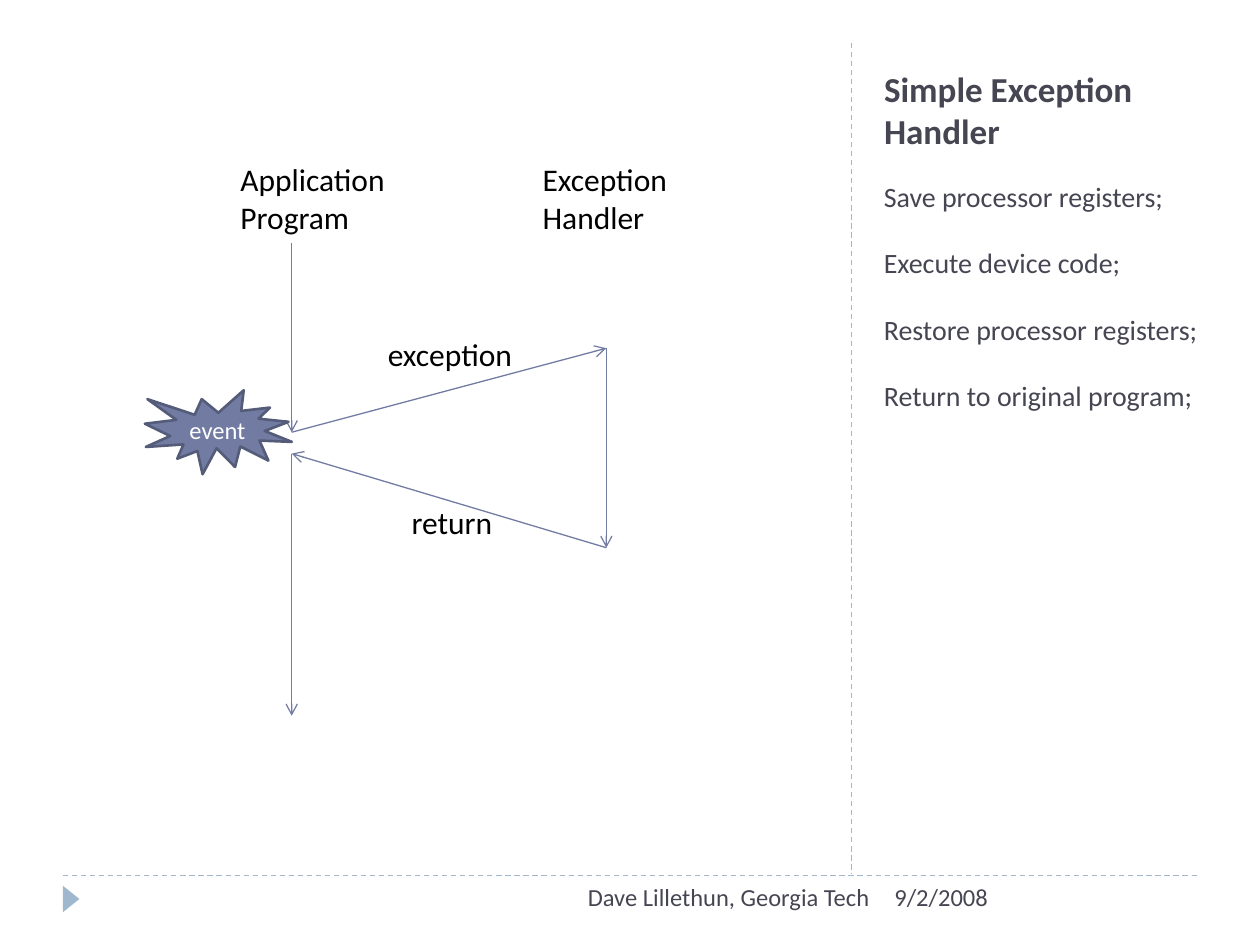
"""Build a slide that shows how a simple exception handler runs."""
from lxml.etree import SubElement
from pptx import Presentation
from pptx.dml.color import RGBColor
from pptx.enum.dml import MSO_LINE
from pptx.enum.shapes import MSO_CONNECTOR, MSO_SHAPE
from pptx.enum.text import MSO_ANCHOR, MSO_AUTO_SIZE, PP_ALIGN
from pptx.oxml.ns import qn
from pptx.util import Pt

SLATE = RGBColor(0x46, 0x46, 0x53)
PALE = RGBColor(0x9F, 0xB8, 0xCD)
BLUE = RGBColor(0x72, 0x7C, 0xA3)
NAVY = RGBColor(0x54, 0x5C, 0x79)
BLACK = RGBColor(0, 0, 0)
WHITE = RGBColor(255, 255, 255)


class Pen:
    def __init__(self, slide, font):
        self.slide = slide
        self.font = font

    def fill(self, frame, lines, size, color, align=PP_ALIGN.LEFT, bold=False):
        frame.text = "\n".join(lines)
        for para in frame.paragraphs:
            para.alignment = align
            para.font.name = self.font
            para.font.size = Pt(size)
            para.font.bold = bold
            para.font.color.rgb = color

    def title(self, text, box):
        shape = self.slide.shapes.title
        shape.left, shape.top, shape.width, shape.height = map(Pt, box)
        frame = shape.text_frame
        frame.auto_size = MSO_AUTO_SIZE.NONE
        frame.vertical_anchor = MSO_ANCHOR.BOTTOM
        self.fill(frame, [text], 20, SLATE, bold=True)

    def text(self, lines, box, size, color=SLATE, align=PP_ALIGN.LEFT):
        frame = self.slide.shapes.add_textbox(*map(Pt, box)).text_frame
        frame.word_wrap = True
        self.fill(frame, lines, size, color, align)
        return frame

    def steps(self, lines, box):
        for para in self.text(lines, box, 16).paragraphs:
            para.line_spacing = Pt(22)
            para.space_before = Pt(6)
            para.space_after = Pt(10)

    def label(self, lines, box):
        frame = self.text(lines, box, 18, BLACK)
        frame.word_wrap = False
        frame.auto_size = MSO_AUTO_SIZE.SHAPE_TO_FIT_TEXT

    def line(self, start, end, color):
        link = self.slide.shapes.add_connector(
            MSO_CONNECTOR.STRAIGHT, *map(Pt, (*start, *end)))
        link.line.color.rgb = color
        link.line.width = Pt(0.75)
        SubElement(link._element.spPr, qn("a:effectLst"))
        return link

    def rule(self, start, end):
        self.line(start, end, PALE).line.dash_style = MSO_LINE.DASH

    def arrow(self, start, end):
        line = self.line(start, end, BLUE).line
        SubElement(line._get_or_add_ln(), qn("a:tailEnd"), type="arrow")

    def shape(self, kind, box, fill, edge=None):
        shape = self.slide.shapes.add_shape(kind, *map(Pt, box))
        shape.shadow.inherit = False
        shape.fill.solid()
        shape.fill.fore_color.rgb = fill
        if edge is None:
            shape.line.fill.background()
        else:
            shape.line.color.rgb = edge
            shape.line.width = Pt(1.5)
        return shape


def main():
    deck = Presentation()
    deck.slide_width, deck.slide_height = Pt(720), Pt(540)
    pen = Pen(deck.slides.add_slide(deck.slide_layouts[5]), "Calibri")

    pen.rule((36, 500.4), (684, 500.4))
    pen.rule((486.5, 24.5), (486.5, 499.7))
    mark = pen.shape(MSO_SHAPE.ISOSCELES_TRIANGLE, (33.1, 509, 15.1, 9.4), PALE)
    mark.rotation = 90

    pen.title("Simple Exception Handler", (498, 24, 198, 66))
    pen.steps(["Save processor registers;", "Execute device code;",
               "Restore processor registers;", "Return to original program;"],
              (498, 96, 198, 381.6))
    pen.text(["9/2/2008"], (504, 500.4, 180, 28.8), 14)
    pen.text(["Dave Lillethun, Georgia Tech"], (228, 500.4, 276, 28.8), 14,
             align=PP_ALIGN.RIGHT)

    app, hand = 166.7, 346.5
    leave, back = 247, 259.2
    enter, done = 199, 313
    pen.arrow((app, 139), (app, leave))
    pen.arrow((app, back), (app, 409))
    pen.arrow((hand, enter), (hand, done))
    pen.arrow((app, leave), (hand, enter))
    pen.arrow((hand, done), (app, back))

    pen.label(["Application", "Program"], (130.3, 88, 98, 51))
    pen.label(["Exception", "Handler"], (303, 88, 88, 51))
    pen.label(["exception"], (214.5, 188, 87, 29))
    pen.label(["return"], (228.2, 284, 61, 29))

    seal = pen.shape(MSO_SHAPE.EXPLOSION1, (82.8, 223, 84, 48), BLUE, NAVY)
    seal.text_frame.vertical_anchor = MSO_ANCHOR.MIDDLE
    pen.fill(seal.text_frame, ["event"], 14, WHITE, PP_ALIGN.CENTER)

    deck.save("out.pptx")


if __name__ == "__main__":
    main()
